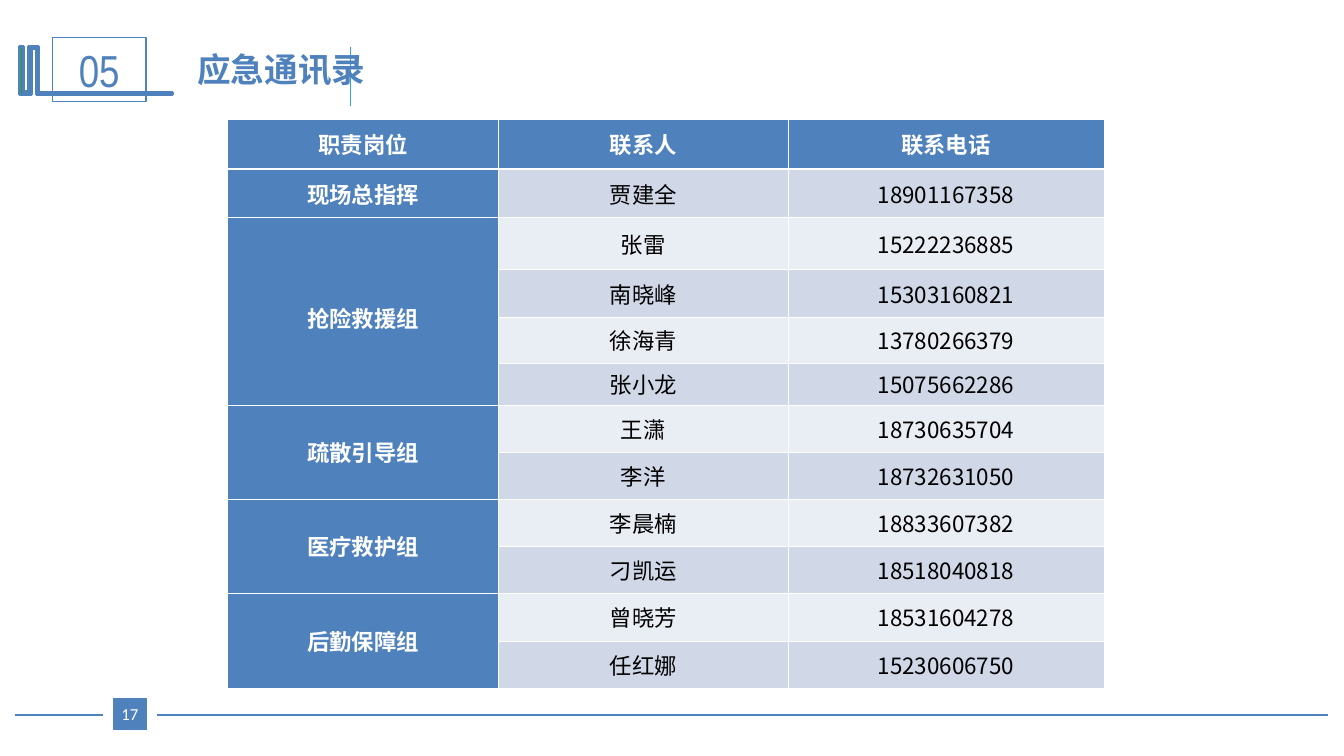
from dataclasses import dataclass

from lxml import etree
from pptx import Presentation
from pptx.dml.color import RGBColor as RGB
from pptx.enum.shapes import MSO_CONNECTOR as CONN, MSO_SHAPE as SHAPE
from pptx.enum.text import MSO_ANCHOR as ANCHOR, PP_ALIGN as ALIGN
from pptx.oxml.ns import qn
from pptx.util import Inches, Pt


@dataclass(frozen=True)
class Theme:
    blue: str = "4F81BD"
    cyan: str = "28A9D6"
    green: str = "339933"
    white: str = "FFFFFF"
    black: str = "000000"
    bands: tuple = ("E9EDF4", "D0D8E8")
    cjk: str = "Noto Sans CJK SC"
    latin: str = "Calibri"
    narrow: str = "Arial Narrow"
    number_size: int = 32
    title_size: int = 24
    table_size: int = 16
    page_size: int = 12
    thin: float = 0.45
    thick: float = 1.47


HEADERS = ["职责岗位", "联系人", "联系电话"]
GROUPS = [
    ("现场总指挥", [("贾建全", "18901167358")]),
    ("抢险救援组", [("张雷", "15222236885"), ("南晓峰", "15303160821"),
               ("徐海青", "13780266379"), ("张小龙", "15075662286")]),
    ("疏散引导组", [("王潇", "18730635704"), ("李洋", "18732631050")]),
    ("医疗救护组", [("李晨楠", "18833607382"), ("刁凯运", "18518040818")]),
    ("后勤保障组", [("曾晓芳", "18531604278"), ("任红娜", "15230606750")]),
]
COL_WIDTHS = [2.69, 2.87, 3.14]
ROW_HEIGHTS = [0.5, 0.48, 0.51, 0.48, 0.45, 0.42, 0.47, 0.46] + [0.47] * 4
BRACKET = [(37, 46), (38, 46), (38, 92), (171, 92), (171, 94), (36, 94),
           (36, 48), (31, 48), (31, 94), (19, 94), (19, 46), (23, 46),
           (23, 91), (28, 91), (28, 46)]


class SlideBuilder:
    def __init__(self, slide, theme):
        self.slide = slide
        self.theme = theme

    def put_text(self, tf, text, size, color, font, bold=False, align=ALIGN.CENTER):
        tf.text = text
        p = tf.paragraphs[0]
        p.alignment = align
        r = p.runs[0]
        r.font.size = Pt(size)
        r.font.bold = bold
        r.font.name = font
        r.font.color.rgb = RGB.from_string(color)
        ea = etree.SubElement(r.font._element, qn("a:ea"))
        ea.set("typeface", self.theme.cjk)
        return p

    def paint(self, s, fill, line, width):
        s.shadow.inherit = False
        if fill:
            s.fill.solid()
            s.fill.fore_color.rgb = RGB.from_string(fill)
        else:
            s.fill.background()
        s.line.color.rgb = RGB.from_string(line)
        s.line.width = Pt(width)

    def line(self, x1, y1, x2, y2, color, width):
        s = self.slide.shapes.add_connector(
            CONN.STRAIGHT, Inches(x1), Inches(y1), Inches(x2), Inches(y2))
        s.line.color.rgb = RGB.from_string(color)
        s.line.width = Pt(width)
        etree.SubElement(s._element.spPr, qn("a:effectLst"))

    def outline(self, points, fill, line, width):
        fb = self.slide.shapes.build_freeform(*points[0], scale=Inches(0.01))
        fb.add_line_segments(points[1:], close=True)
        self.paint(fb.convert_to_shape(), fill, line, width)

    def box(self, x, y, w, h, text, size, color, font, fill=None, inset=(0.1, 0.05)):
        s = self.slide.shapes.add_shape(
            SHAPE.RECTANGLE, Inches(x), Inches(y), Inches(w), Inches(h))
        self.paint(s, fill, self.theme.blue, 0.75)
        tf = s.text_frame
        tf.margin_left = tf.margin_right = Inches(inset[0])
        tf.margin_top = tf.margin_bottom = Inches(inset[1])
        tf.vertical_anchor = ANCHOR.MIDDLE
        self.put_text(tf, text, size, color, font)

    def title(self, x, y, w, h, text):
        tf = self.slide.shapes.add_textbox(
            Inches(x), Inches(y), Inches(w), Inches(h)).text_frame
        tf.word_wrap = True
        self.put_text(tf, text, self.theme.title_size, self.theme.blue,
                      self.theme.latin, True, ALIGN.LEFT)

    def style_cell(self, cell, row, col):
        t = self.theme
        tc_pr = cell._tc.get_or_add_tcPr()
        heavy = {0: "lnB", 1: "lnT"}.get(row)
        for tag in ("lnL", "lnR", "lnT", "lnB"):
            width = t.thick if tag == heavy else t.thin
            ln = etree.SubElement(tc_pr, qn(f"a:{tag}"), w=str(Pt(width)))
            fill = etree.SubElement(ln, qn("a:solidFill"))
            etree.SubElement(fill, qn("a:srgbClr"), val=t.white)
        color = t.blue if row == 0 or col == 0 else t.bands[row % 2]
        cell.fill.solid()
        cell.fill.fore_color.rgb = RGB.from_string(color)
        cell.vertical_anchor = ANCHOR.MIDDLE
        cell.margin_left = cell.margin_right = Inches(0.07)
        cell.margin_top = cell.margin_bottom = Inches(0.05)

    def cell_text(self, cell, text, head=False):
        t = self.theme
        return self.put_text(cell.text_frame, text, t.table_size,
                             t.white if head else t.black, t.cjk, head)

    def contacts(self, x, y):
        table = self.slide.shapes.add_table(
            len(ROW_HEIGHTS), len(COL_WIDTHS), Inches(x), Inches(y),
            Inches(sum(COL_WIDTHS)), Inches(sum(ROW_HEIGHTS))).table
        table.horz_banding = False
        for column, width in zip(table.columns, COL_WIDTHS):
            column.width = Inches(width)
        for i, height in enumerate(ROW_HEIGHTS):
            table.rows[i].height = Inches(height)
            for j in range(len(COL_WIDTHS)):
                self.style_cell(table.cell(i, j), i, j)
        for j, text in enumerate(HEADERS):
            self.cell_text(table.cell(0, j), text, True)
        row = 1
        for group, people in GROUPS:
            cell = table.cell(row, 0)
            if len(people) > 1:
                cell.merge(table.cell(row + len(people) - 1, 0))
            p = self.cell_text(cell, group, True)
            if len(people) == 4:
                p.line_spacing = Pt(32)
            for person in people:
                for j, text in enumerate(person, 1):
                    self.cell_text(table.cell(row, j), text)
                row += 1


def main():
    prs = Presentation()
    prs.slide_width, prs.slide_height = Inches(13.34), Inches(7.5)
    t = Theme()
    sb = SlideBuilder(prs.slides.add_slide(prs.slide_layouts[6]), t)
    sb.line(13.18, 7.09, 1.56, 7.09, t.blue, 1.25)
    sb.line(1.02, 7.09, 0.15, 7.09, t.blue, 1.25)
    sb.line(3.48, 0.47, 3.48, 1.05, t.cyan, 1)
    sb.outline(BRACKET, t.green, t.blue, 2)
    sb.box(0.52, 0.37, 0.93, 0.64, "05", t.number_size, t.blue, t.narrow)
    sb.box(1.13, 6.93, 0.32, 0.31, "17", t.page_size, t.white, t.latin,
           fill=t.blue, inset=(0, 0))
    sb.title(1.86, 0.44, 9.69, 0.5, "应急通讯录")
    sb.contacts(2.26, 1.18)
    prs.save("out.pptx")


if __name__ == "__main__":
    main()
